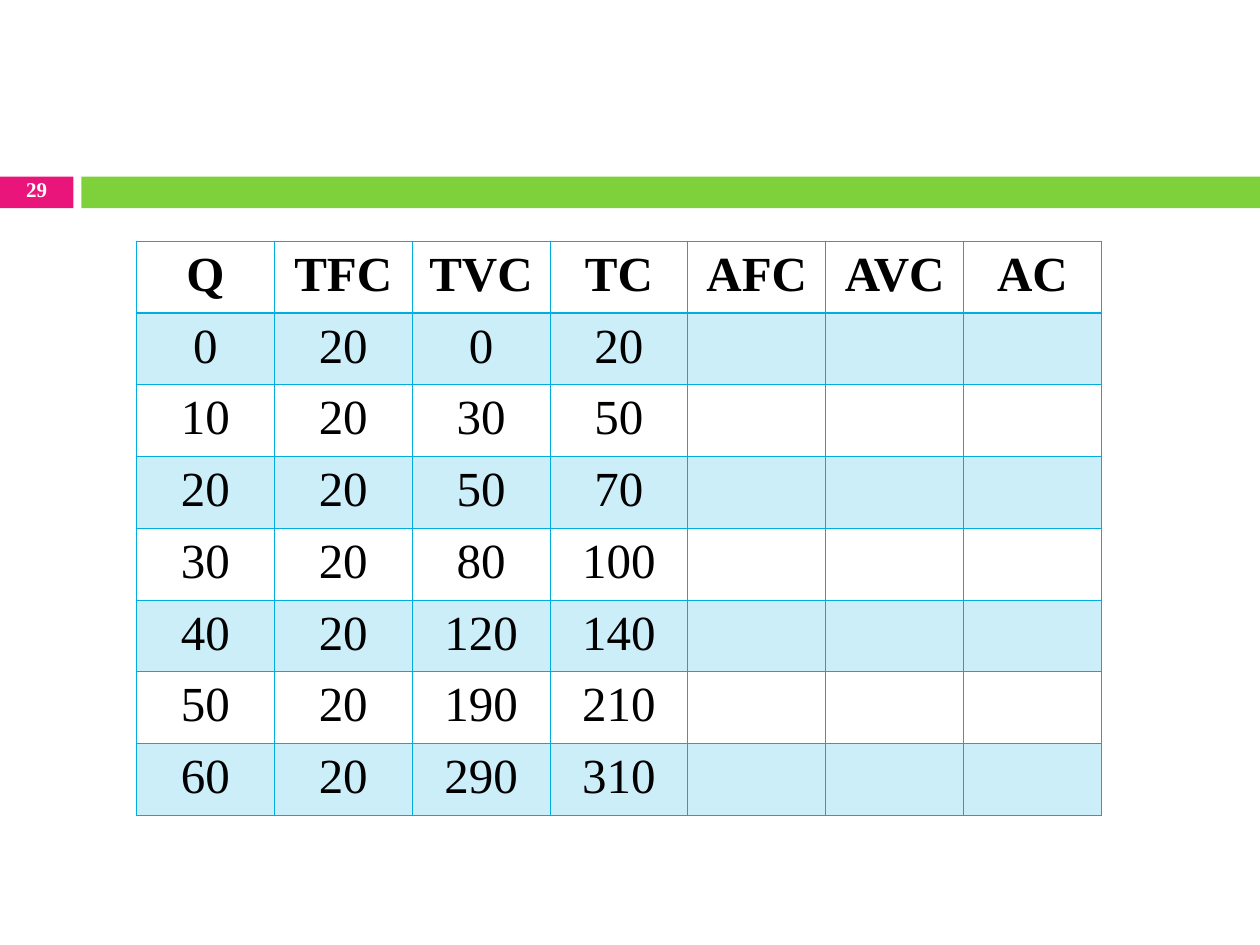
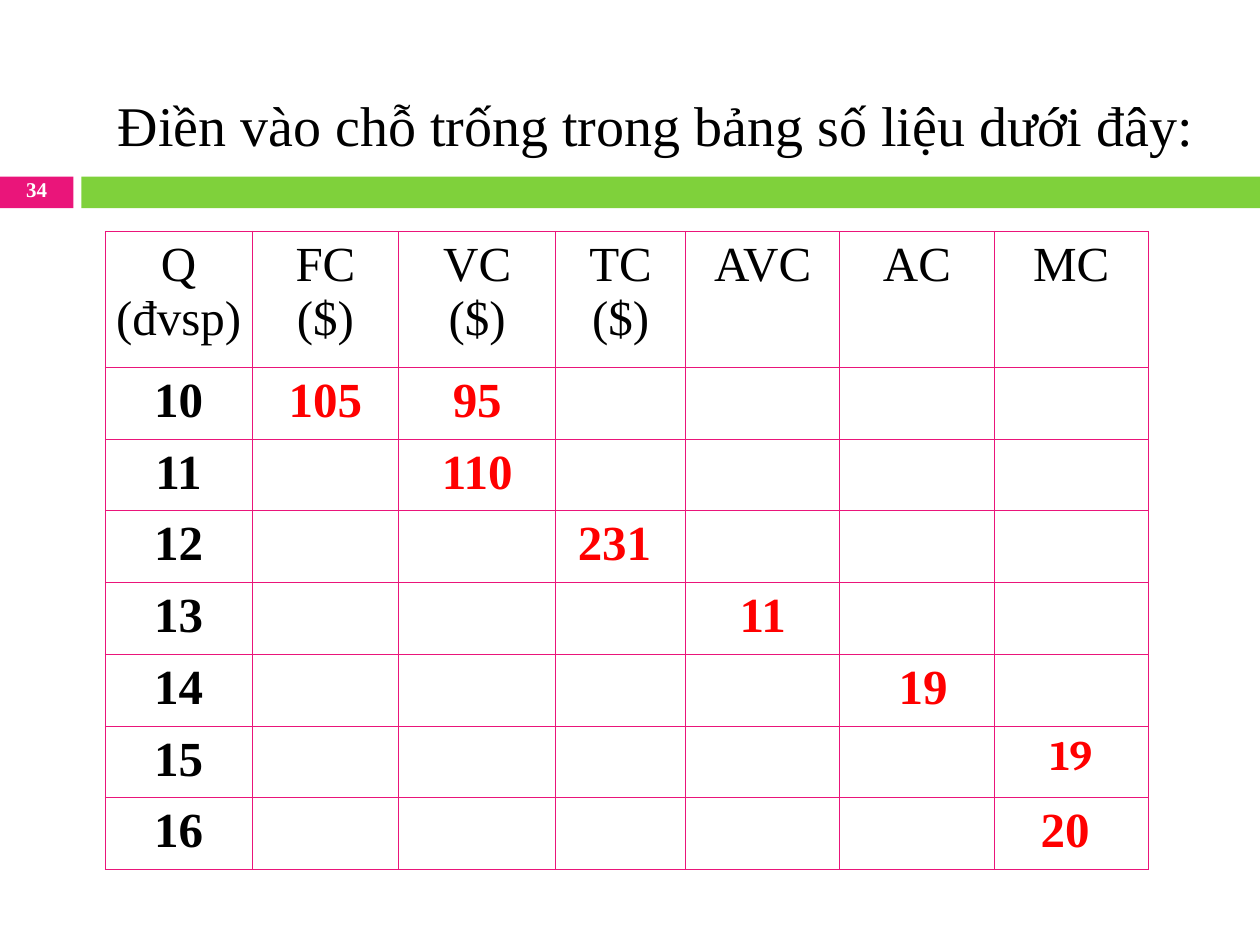
from lxml.etree import SubElement as Sub
from pptx import Presentation
from pptx.dml.color import RGBColor
from pptx.enum.shapes import MSO_SHAPE as Shape
from pptx.enum.text import MSO_ANCHOR as Anchor, MSO_AUTO_SIZE as Fit, PP_ALIGN as Align
from pptx.oxml.ns import qn
from pptx.util import Cm, Pt

PINK, GREEN, CYAN = "EA157A", "7FD13B", "00ADDC"
WHITE, BLACK, RED = "FFFFFF", "000000", "FF0000"
SERIF = "Times New Roman"


def paint(fill, code):
    fill.solid()
    fill.fore_color.rgb = RGBColor.from_string(code)


def style(par, color=BLACK, align=Align.CENTER, **form):
    """Align a paragraph and set its font from the format values."""
    par.alignment = align
    for key, val in {"name": SERIF, "size": Pt(28), "bold": False, **form}.items():
        setattr(par.font, key, val)
    paint(par.font.fill, color)


costs = [
    ["Q", "TFC", "TVC", "TC", "AFC", "AVC", "AC"],
    ["0", "20", "0", "20"],
    ["10", "20", "30", "50"],
    ["20", "20", "50", "70"],
    ["30", "20", "80", "100"],
    ["40", "20", "120", "140"],
    ["50", "20", "190", "210"],
    ["60", "20", "290", "310"],
]
blanks = [
    ["Q\n(đvsp)", "FC\n($)", "VC\n($)", "TC\n($)", "AVC", "AC", "MC"],
    ["10", "105", "95"],
    ["11", "", "110"],
    ["12", "", "", "231 "],
    ["13", "", "", "", "11"],
    ["14", "", "", "", "", " 19"],
    ["15", "", "", "", "", "", "19"],
    ["16", "", "", "", "", "", "20 "],
]
pages = [
    dict(num="29", title="", rows=costs, left=2.75, top=4.86, head=1.44, high=1.44,
         cols=[2.78] * 7, pad=0.25, line=CYAN, rule=0.96, band=True,
         bold_head=True, bold_body=False, ink=BLACK),
    dict(num="34", title="Điền vào chỗ trống trong bảng số liệu dưới đây:",
         rows=blanks, left=2.12, top=4.66, head=2.74, high=1.35,
         cols=[2.96, 2.96, 3.16, 2.62, 3.11, 3.11, 3.11], pad=0.18,
         line=PINK, rule=0.45, band=False,
         bold_head=False, bold_body=True, ink=RED),
]

deck = Presentation()
deck.slide_width, deck.slide_height = Cm(25.4), Cm(19.05)

for page in pages:
    slide = deck.slides.add_slide(deck.slide_layouts[5 if page["title"] else 6])

    # Bands and page number
    for left, wide, color in [(0, 1.48, PINK), (1.64, 23.76, GREEN)]:
        bar = slide.shapes.add_shape(Shape.RECTANGLE, Cm(left), Cm(3.56), Cm(wide), Cm(0.64))
        bar.shadow.inherit = False
        bar.line.fill.background()
        paint(bar.fill, color)
    num = slide.shapes.add_textbox(0, Cm(3.53), Cm(1.48), Cm(0.68)).text_frame
    num.word_wrap = True
    num.vertical_anchor = Anchor.MIDDLE
    num.text = page["num"]
    num.paragraphs[0].line_spacing = 0.8
    style(num.paragraphs[0], WHITE, size=Pt(12), bold=True)

    # Title
    if page["title"]:
        title = slide.shapes.title
        title.left, title.top, title.width, title.height = Cm(2.12), Cm(1.7), Cm(22.86), Cm(1.62)
        frame = title.text_frame
        frame.text = page["title"]
        frame.vertical_anchor = Anchor.MIDDLE
        frame.auto_size = Fit.SHAPE_TO_FIT_TEXT
        style(frame.paragraphs[0], align=Align.JUSTIFY, size=Pt(32))

    # Cost table
    rows, cols = page["rows"], page["cols"]
    highs = [page["head"]] + [page["high"]] * (len(rows) - 1)
    table = slide.shapes.add_table(len(rows), len(cols), Cm(page["left"]), Cm(page["top"]),
                                   Cm(sum(cols)), Cm(sum(highs))).table
    table.first_row = table.horz_banding = False
    for col, wide in zip(table.columns, cols):
        col.width = Cm(wide)
    for r, (row, high) in enumerate(zip(rows, highs)):
        table.rows[r].height = Cm(high)
        for c in range(len(cols)):
            cell = table.cell(r, c)
            cell.margin_left = cell.margin_right = Cm(page["pad"])
            cell.margin_top = cell.margin_bottom = Cm(0.13)
            props = cell._tc.get_or_add_tcPr()
            for side in "LRTB":
                ruled = (r, side) in [(0, "B"), (1, "T")]
                wide = Pt(page["rule"] if ruled else 0.45)
                edge = Sub(props, qn(f"a:ln{side}"), w=str(wide))
                Sub(Sub(edge, qn("a:solidFill")), qn("a:srgbClr"), val=page["line"])
            if page["band"] and r % 2:
                paint(cell.fill, CYAN)
                tint = props.find(qn("a:solidFill")).find(qn("a:srgbClr"))
                Sub(tint, qn("a:alpha"), val="20000")
            else:
                paint(cell.fill, WHITE)
            if c < len(row) and row[c]:
                cell.text = row[c]
                for par in cell.text_frame.paragraphs:
                    style(par, page["ink"] if r and c else BLACK,
                          bold=page["bold_body"] if r else page["bold_head"])

    if rows is blanks:
        style(table.cell(6, 6).text_frame.paragraphs[0], RED,
              name="Cambria", size=Pt(24), bold=True)

deck.save("out.pptx")
